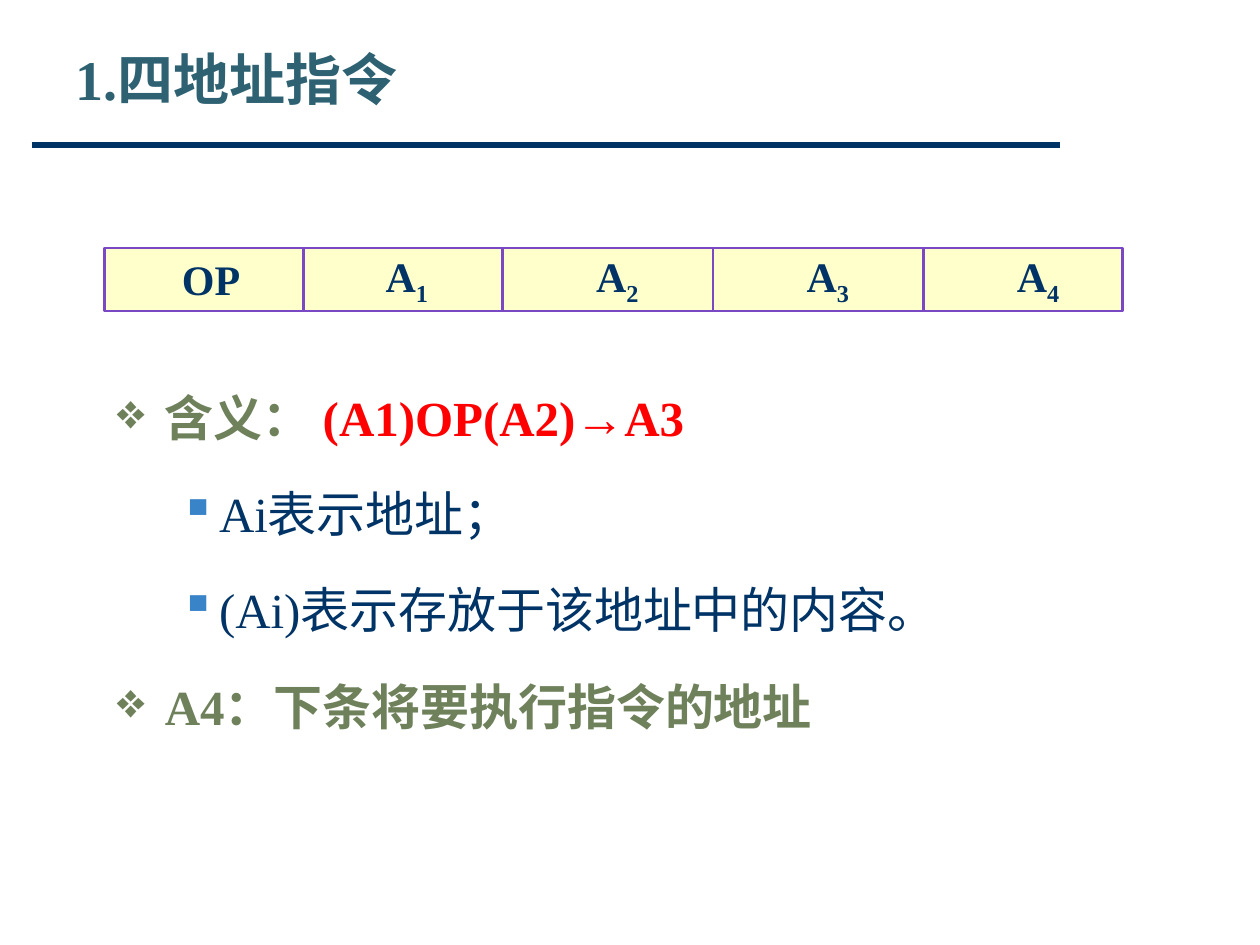
from dataclasses import dataclass

from lxml import etree
from pptx import Presentation
from pptx.dml.color import RGBColor
from pptx.enum.shapes import MSO_CONNECTOR, MSO_SHAPE
from pptx.enum.text import MSO_ANCHOR, PP_ALIGN
from pptx.oxml.ns import qn
from pptx.util import Inches, Pt

STRAIGHT = MSO_CONNECTOR.STRAIGHT
RECTANGLE = MSO_SHAPE.RECTANGLE
TOP, MIDDLE = MSO_ANCHOR.TOP, MSO_ANCHOR.MIDDLE
LEFT, CENTER = PP_ALIGN.LEFT, PP_ALIGN.CENTER


@dataclass(frozen=True)
class Theme:
    font: str = "Times New Roman"
    title: str = "2E6272"
    navy: str = "003366"
    green: str = "6E815B"
    blue: str = "3984C9"
    red: str = "FF0000"
    purple: str = "7A48C4"
    cream: str = "FFFFCC"
    title_size: int = 32
    body_size: int = 28
    field_size: int = 24


THEME = Theme()


def set_font(font, size, color, bold=True):
    font.name = THEME.font
    font.size = Pt(size)
    font.bold = bold
    font.color.rgb = RGBColor.from_string(color)


def add_line(page, start, end, color, width):
    """Add a shadowless straight line between two points in inches."""
    line = page.shapes.add_connector(
        STRAIGHT, *(Inches(value) for value in (*start, *end)))
    line.line.color.rgb = RGBColor.from_string(color)
    line.line.width = Pt(width)
    etree.SubElement(line._element.spPr, qn("a:effectLst"))


deck = Presentation()
deck.slide_width, deck.slide_height = Inches(10), Inches(7.5)
page = deck.slides.add_slide(deck.slide_layouts[5])

# Title and rule
add_line(page, (0.25, 1.15), (8.41, 1.15), THEME.navy, 3)
title = page.shapes.title
title.left, title.top = Inches(0.5), Inches(0.3)
title.width, title.height = Inches(9), Inches(1.25)
title.text_frame.text = "1.四地址指令"
title.text_frame.vertical_anchor = TOP
para = title.text_frame.paragraphs[0]
para.alignment = LEFT
set_font(para.font, THEME.title_size, THEME.title)

# Explanation: level, then (text, color) spans
points = [
    (0, [("含义： ", THEME.green), ("(A1)OP(A2)→A3", THEME.red)]),
    (1, [("Ai表示地址；", THEME.navy)]),
    (1, [("(Ai)表示存放于该地址中的内容。", THEME.navy)]),
    (0, [("A4：下条将要执行指令的地址", THEME.green)]),
]
# Bullet, bullet color, text margin and hanging indent for each level
levels = [("❖", THEME.green, 0.38, 0.38), ("▪", THEME.blue, 0.81, 0.31)]

body = page.shapes.add_textbox(Inches(0.83), Inches(2.98), Inches(8.08), Inches(2.82))
frame = body.text_frame
frame.word_wrap = True
for index, (level, spans) in enumerate(points):
    para = frame.add_paragraph() if index else frame.paragraphs[0]
    para.level = level
    para.line_spacing = 1.1
    para.space_before = Pt(18)
    bullet, bullet_color, margin, hanging = levels[level]
    properties = para._p.get_or_add_pPr()
    properties.set("marL", str(Inches(margin)))
    properties.set("indent", str(-Inches(hanging)))
    color_node = etree.SubElement(properties, qn("a:buClr"))
    etree.SubElement(color_node, qn("a:srgbClr"), val=bullet_color)
    etree.SubElement(properties, qn("a:buChar"), char=bullet)
    for text, color in spans:
        span = para.add_run()
        span.text = text
        set_font(span.font, THEME.body_size, color, bold=level == 0)

# Instruction format
bar_top, bar_height = 1.97, 0.5
bar = page.shapes.add_shape(
    RECTANGLE, Inches(0.83), Inches(bar_top), Inches(8.08), Inches(bar_height))
bar.shadow.inherit = False
bar.fill.solid()
bar.fill.fore_color.rgb = RGBColor.from_string(THEME.cream)
bar.line.color.rgb = RGBColor.from_string(THEME.purple)
bar.line.width = Pt(1.5)

for x in (2.41, 3.99, 5.66, 7.33):
    add_line(page, (x, bar_top), (x, bar_top + bar_height), THEME.purple, 1.5)

# Field name, subscript, left edge, width
fields = [("OP", "", 1.34, 0.67)]
fields += [("A", str(number + 1), 2.95 + 1.67 * number, 0.56) for number in range(4)]
for name, subscript, left, width in fields:
    box = page.shapes.add_textbox(
        Inches(left), Inches(bar_top - 0.01), Inches(width), Inches(0.51))
    box.text_frame.word_wrap = False
    box.text_frame.vertical_anchor = MIDDLE
    para = box.text_frame.paragraphs[0]
    para.alignment = CENTER
    set_font(para.font, THEME.field_size, THEME.navy)
    para.add_run().text = name
    if subscript:
        span = para.add_run()
        span.text = subscript
        span._r.get_or_add_rPr().set("baseline", "-25000")

deck.save("out.pptx")
